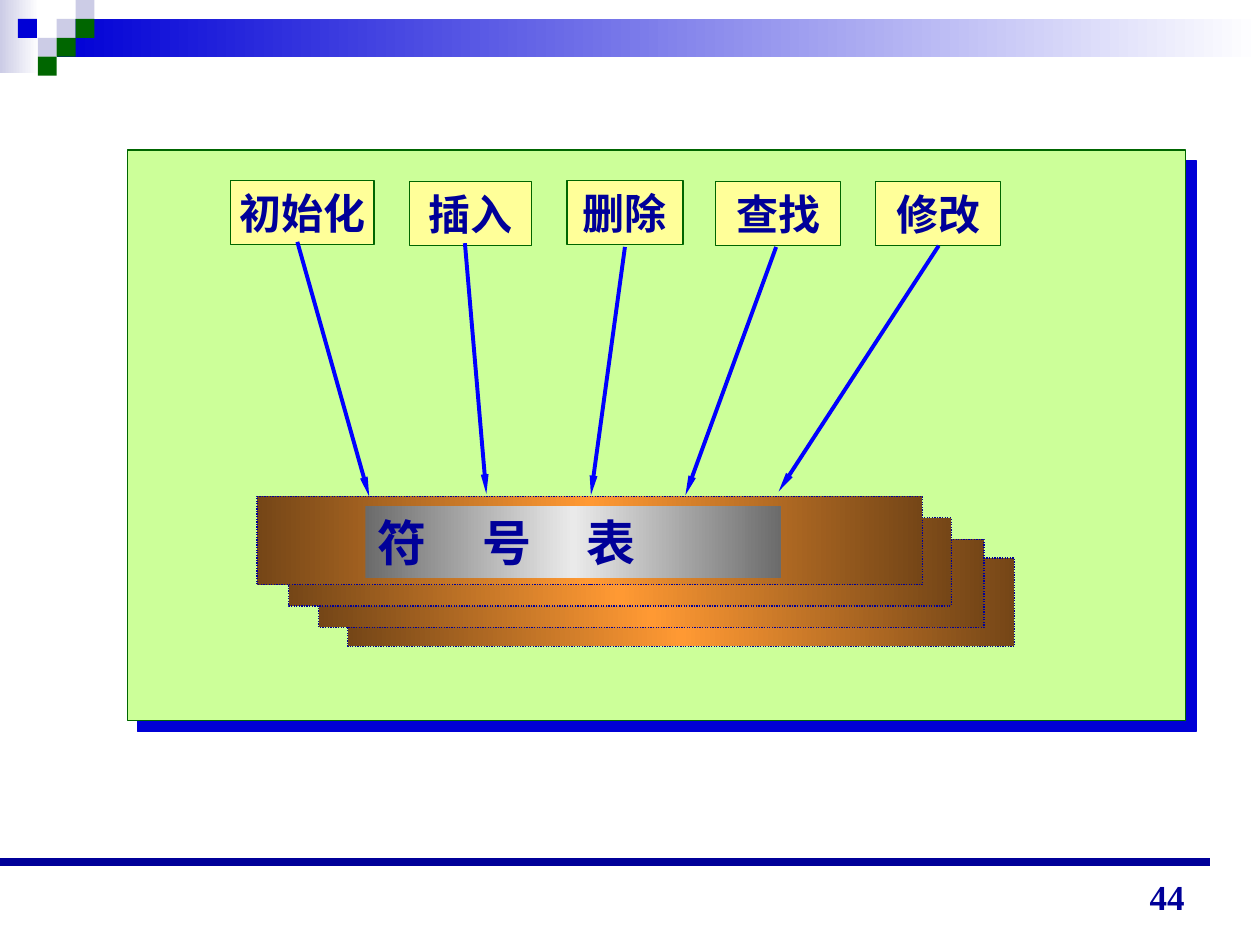
import pptx
import pptx.util
import pptx.dml.color
import pptx.enum.dml
import pptx.enum.shapes
import pptx.enum.text
import pptx.oxml.ns
from lxml import etree

Inches = pptx.util.Inches
Pt = pptx.util.Pt
qn = pptx.oxml.ns.qn
Align = pptx.enum.text.PP_ALIGN
Anchor = pptx.enum.text.MSO_ANCHOR

FONT = "Times New Roman"
COLORS = {
    "white": "FFFFFF", "lilac": "CCCCE6", "blue": "0000D6", "green": "006600",
    "navy": "000099", "panel": "CCFF99", "operation": "FFFF99", "arrow": "0000FF",
    "brown": "754617", "orange": "FF9933", "grey": "6B6B6B", "silver": "EAEAEA",
}


def rgb(name):
    """Return the named colour as an RGBColor."""
    return pptx.dml.color.RGBColor.from_string(COLORS[name])


def add_color(parent, name):
    """Append a solid colour element to an XML parent."""
    etree.SubElement(parent, qn("a:srgbClr"), val=COLORS[name])


def set_gradient(sp, names):
    """Fill a shape with evenly spaced colours running from right to left."""
    sp.fill.gradient()
    sp.fill.gradient_angle = 180
    stops = sp._element.spPr.find(qn("a:gradFill")).find(qn("a:gsLst"))
    for stop in list(stops):
        stops.remove(stop)
    for i, name in enumerate(names):
        pos = str(100000 * i // (len(names) - 1))
        add_color(etree.SubElement(stops, qn("a:gs"), pos=pos), name)


def add_rect(s, box, fill, line=None, dash=None):
    """Add a rectangle with a solid (name) or gradient (list) fill."""
    rect = pptx.enum.shapes.MSO_SHAPE.RECTANGLE
    sp = s.shapes.add_shape(rect, *[Inches(v) for v in box])
    sp.shadow.inherit = False
    if isinstance(fill, list):
        set_gradient(sp, fill)
    else:
        sp.fill.solid()
        sp.fill.fore_color.rgb = rgb(fill)
    if line:
        sp.line.color.rgb = rgb(line)
        sp.line.width = Pt(0.75)
        if dash:
            sp.line.dash_style = dash
    else:
        sp.line.fill.background()
    return sp


def add_line(s, start, end, color, width, arrow=False):
    """Add a straight connector, optionally with a slim arrowhead at its end."""
    straight = pptx.enum.shapes.MSO_CONNECTOR.STRAIGHT
    cn = s.shapes.add_connector(straight, *[Inches(v) for v in start + end])
    cn.line.color.rgb = rgb(color)
    cn.line.width = Pt(width)
    sp_pr = cn._element.spPr
    if arrow:
        etree.SubElement(sp_pr.find(qn("a:ln")), qn("a:tailEnd"),
                         type="triangle", w="sm", len="lg")
    etree.SubElement(sp_pr, qn("a:effectLst"))


def set_text(sp, text, size, align, anchor, wrap, tabs=()):
    """Write one bold navy paragraph into a shape."""
    tf = sp.text_frame
    tf.word_wrap = wrap
    tf.vertical_anchor = anchor
    p = tf.paragraphs[0]
    p.text = text
    p.alignment = align
    if tabs:
        tab_list = etree.SubElement(p._p.get_or_add_pPr(), qn("a:tabLst"))
        for pos in tabs:
            etree.SubElement(tab_list, qn("a:tab"), pos=str(Inches(pos)), algn="l")
    for r in p.runs:
        r.font.name = FONT
        r.font.size = Pt(size)
        r.font.bold = True
        r.font.color.rgb = rgb("navy")


def build_banner(s, x, y, width):
    """Draw the gradient banner and its checkered corner."""
    unit = 0.15
    add_rect(s, (x, y, 0.31, 0.58), ["white", "lilac"])
    add_rect(s, (x + 0.45, y + unit, width - 0.45, 2 * unit), ["white", "blue"])
    squares = [(3, 1, "lilac"), (4, 0, "lilac"), (4, 1, "green"), (2, 2, "lilac"),
               (0.95, 1, "blue"), (3, 2, "green"), (2, 3, "green")]
    for col, row, color in squares:
        add_rect(s, (x + col * unit, y + row * unit, unit, unit), color)


def build_panel(s, x, y, width, height):
    """Draw the green panel with its hard offset shadow."""
    sp = add_rect(s, (x, y, width, height), "panel", "green")
    effects = sp._element.spPr.find(qn("a:effectLst"))
    shadow = etree.SubElement(effects, qn("a:outerShdw"), blurRad="0",
                              dist=str(Pt(8.5)), dir="2700000", algn="ctr",
                              rotWithShape="0")
    add_color(shadow, "blue")


def build_table_stack(s, x, y, width, height):
    """Draw the stacked symbol table cards, back to front."""
    dash = pptx.enum.dml.MSO_LINE.ROUND_DOT
    offsets = [(0.72, 0.49, 0.01), (0.49, 0.34, 0), (0.25, 0.17, -0.02), (0, 0, 0)]
    for dx, dy, extra in offsets:
        add_rect(s, (x + dx, y + dy, width + extra, height),
                 ["brown", "orange", "brown"], "navy", dash)


def build_table_label(s, x, y, width, height):
    """Draw the symbol table label with evenly tabbed characters."""
    sp = add_rect(s, (x, y, width, height), ["grey", "silver", "grey"])
    set_text(sp, "符\t号\t表", 28, Align.LEFT, Anchor.TOP, True, (0.83, 1.66))


def build_operations(s, y, height):
    """Draw the operation boxes, then the arrows to the symbol table."""
    operations = [
        ("初始化", 1.83, 0, 1.14, (2.36, 1.92), (2.93, 3.94)),
        ("插入", 3.25, 0.01, 0.97, (3.69, 1.93), (3.86, 3.92)),
        ("删除", 4.5, 0, 0.92, (4.96, 1.96), (4.69, 3.93)),
        ("查找", 5.68, 0.01, 0.99, (6.16, 1.96), (5.44, 3.93)),
        ("修改", 6.95, 0.01, 0.99, (7.45, 1.95), (6.18, 3.9)),
    ]
    for text, x, dy, width, _, _ in operations:
        sp = add_rect(s, (x, y + dy, width, height), "operation", "green")
        set_text(sp, text, 24, Align.CENTER, Anchor.MIDDLE, False)
    for *_, start, end in operations:
        add_line(s, start, end, "arrow", 2.25, arrow=True)


def build_footer(s, y, width):
    """Draw the footer rule and the page number."""
    add_line(s, (0, y), (width, y), "navy", 4.5)
    sp = s.shapes.add_textbox(Inches(width - 2.43), Inches(y - 0.01),
                              Inches(2.33), Inches(0.5))
    set_text(sp, "44", 20, Align.RIGHT, Anchor.BOTTOM, True)


def main():
    """Build the slide and save it."""
    prs = pptx.Presentation()
    prs.slide_width, prs.slide_height = Inches(10), Inches(7.5)
    s = prs.slides.add_slide(prs.slide_layouts[6])
    build_banner(s, 0, 0, 10)
    build_panel(s, 1.01, 1.19, 8.4, 4.53)
    build_table_stack(s, 2.04, 3.94, 5.28, 0.7)
    build_operations(s, 1.43, 0.51)
    build_table_label(s, 2.9, 4.02, 3.3, 0.57)
    build_footer(s, 6.84, 9.6)
    prs.save("out.pptx")


if __name__ == "__main__":
    main()
